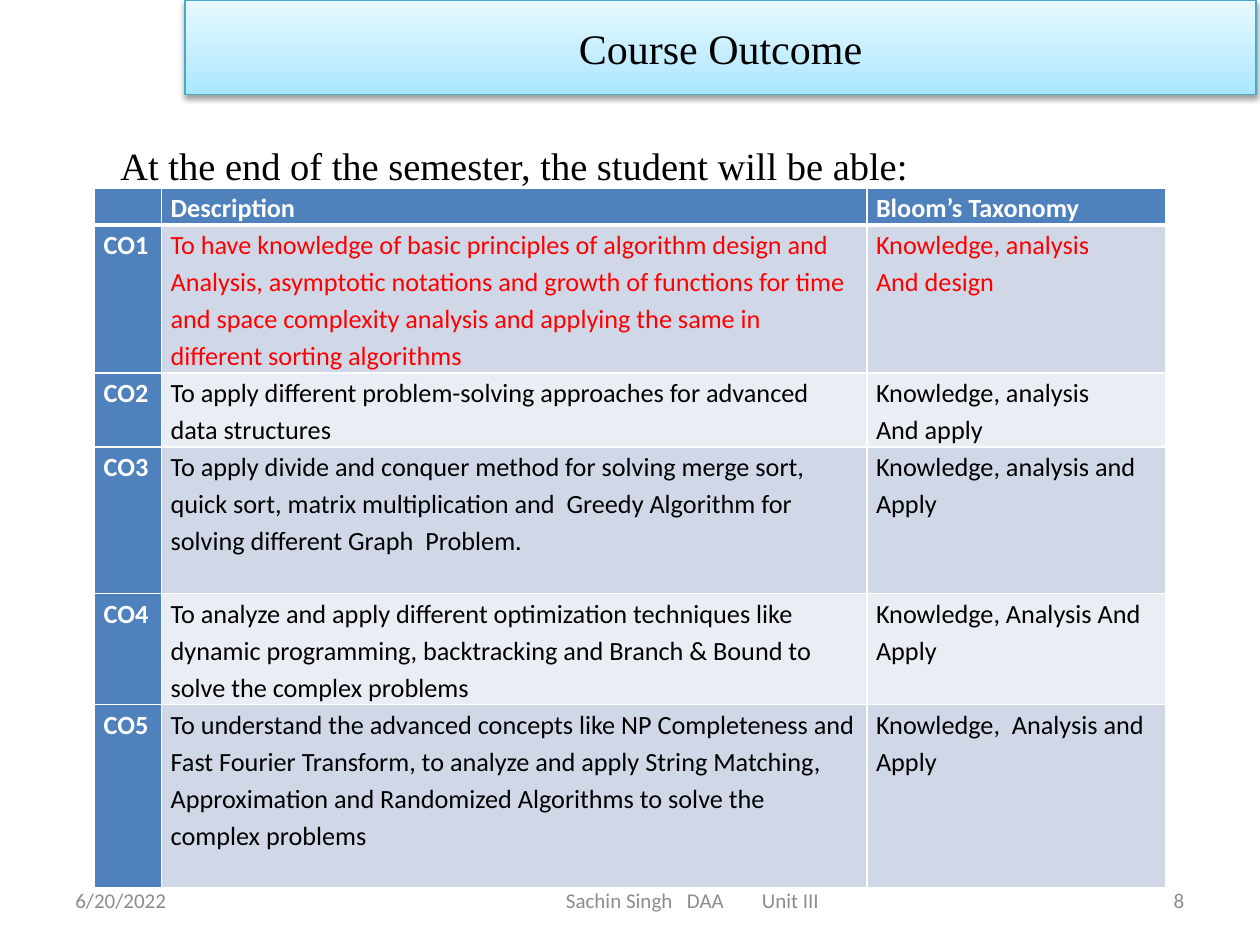
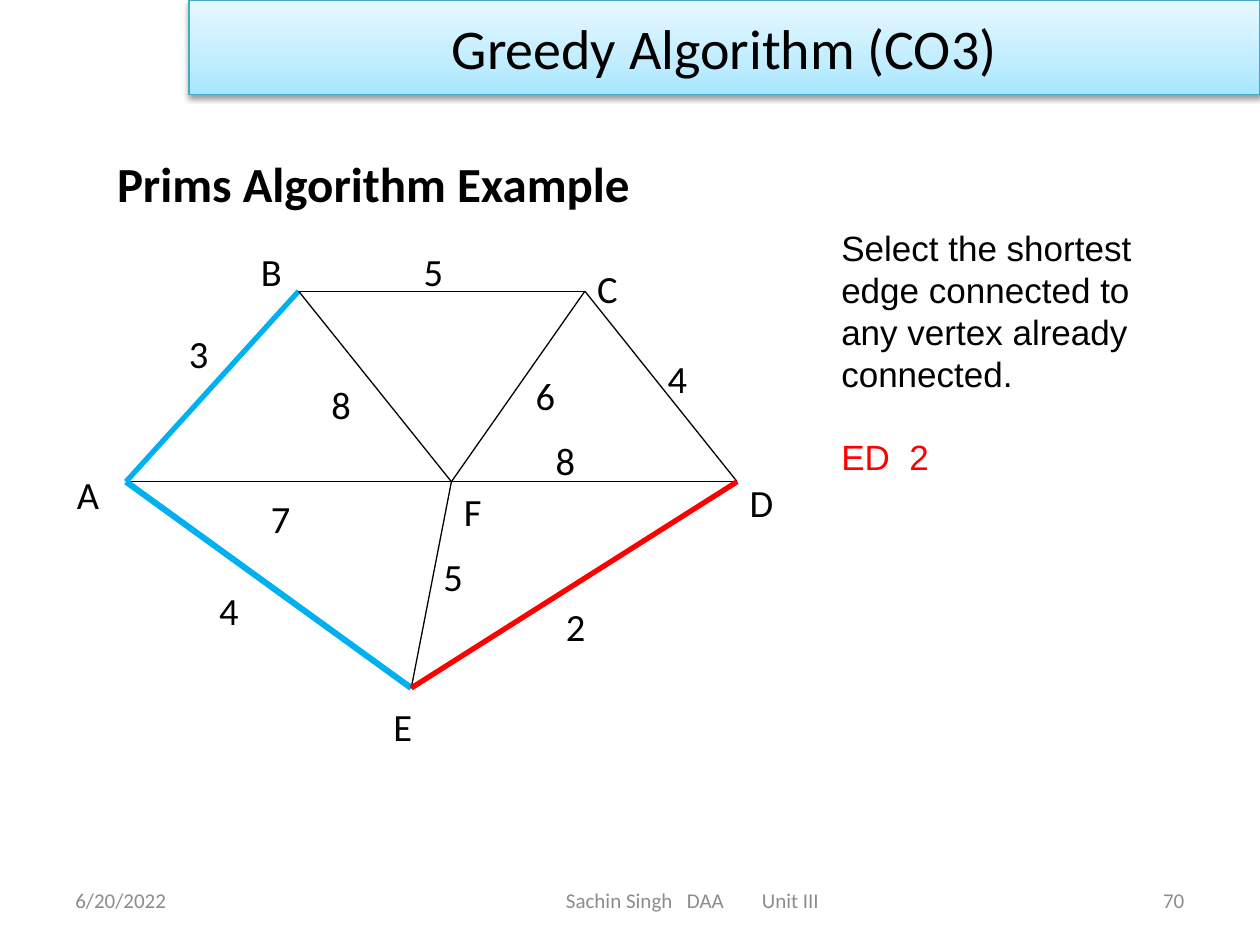
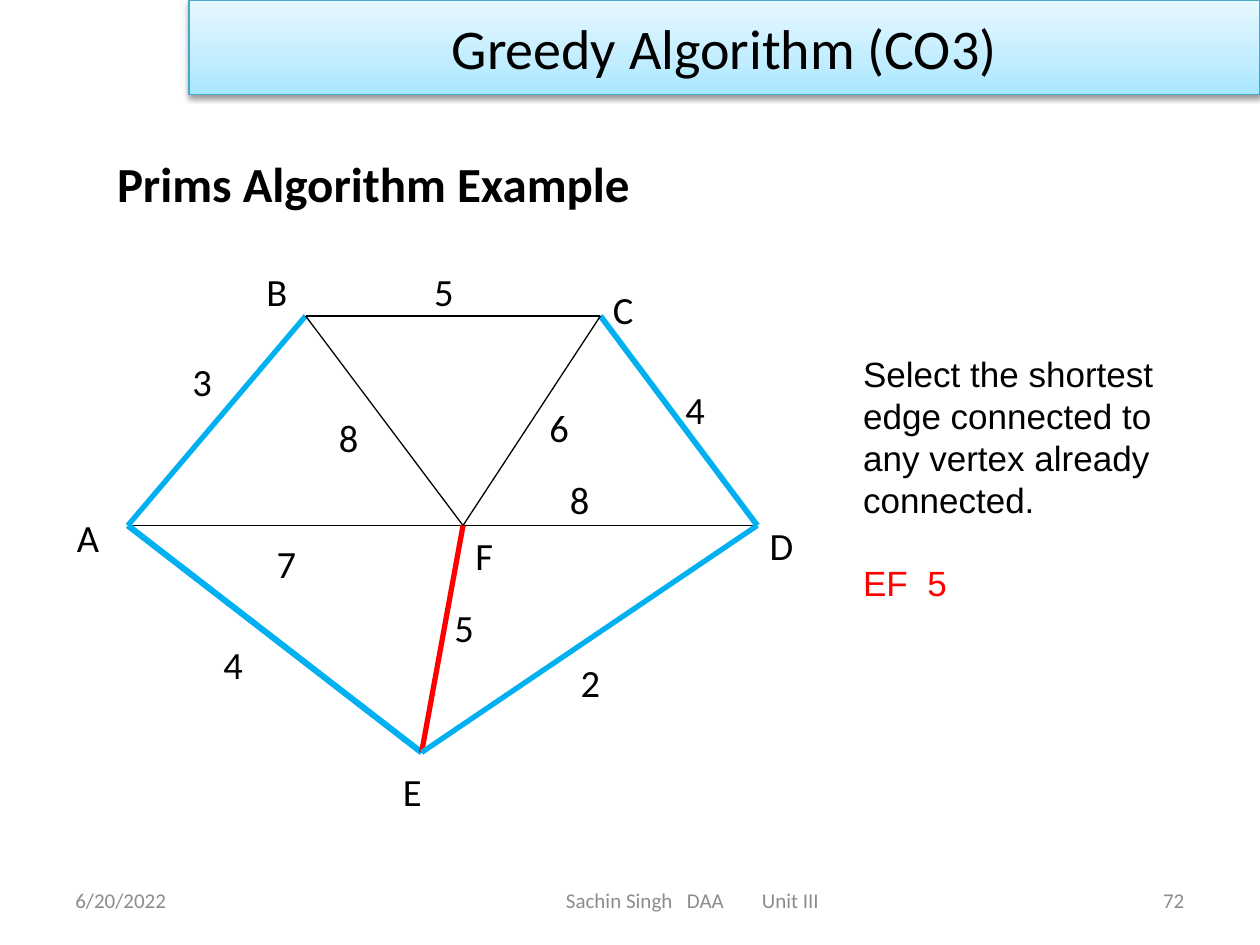
from copy import deepcopy

from lxml import etree
from pptx import Presentation
from pptx.dml.color import RGBColor
from pptx.enum.shapes import MSO_CONNECTOR
from pptx.enum.text import MSO_ANCHOR, MSO_AUTO_SIZE, PP_ALIGN
from pptx.oxml.ns import qn
from pptx.util import Cm, Pt

STRAIGHT = MSO_CONNECTOR.STRAIGHT
MIDDLE = MSO_ANCHOR.MIDDLE
NO_AUTOFIT = MSO_AUTO_SIZE.NONE
LEFT, CENTER, RIGHT = PP_ALIGN.LEFT, PP_ALIGN.CENTER, PP_ALIGN.RIGHT

BLACK = RGBColor(0x00, 0x00, 0x00)
WHITE = RGBColor(0xFF, 0xFF, 0xFF)
RED = RGBColor(0xFF, 0x00, 0x00)
TREE_BLUE = RGBColor(0x00, 0xB0, 0xF0)
FOOTER_GREY = RGBColor(0x8C, 0x8C, 0x8C)
HEADER_BLUE = RGBColor(0x4F, 0x81, 0xBD)
ROW_TINTS = (RGBColor(0xD0, 0xD8, 0xE8), RGBColor(0xE9, 0xED, 0xF4))
BAND_LINE = RGBColor(0x46, 0xAA, 0xC5)
BAND_STOPS = (
    (0, RGBColor(0xA7, 0xE6, 0xFF)),
    (0.35, RGBColor(0xC1, 0xED, 0xFF)),
    (1, RGBColor(0xE7, 0xF8, 0xFF)),
)

SERIF = "Times New Roman"
OUTCOME_TITLE = {"name": SERIF, "size": Pt(24)}
GREEDY_TITLE = {"name": "Calibri", "size": Pt(32)}
INTRO = {"name": SERIF, "size": Pt(22)}
HEADING = {"name": "Calibri", "size": Pt(28), "bold": True}
GRAPH_LABEL = {"name": "Calibri", "size": Pt(22)}
NOTE = {"name": "Arial", "size": Pt(20)}
FOOTER = {"name": "Calibri", "size": Pt(12)}
CELL = {"name": "Calibri", "size": Pt(15), "bold": False}
CELL_BOLD = {**CELL, "bold": True}

DATE = "6/20/2022"
FOOTER_TEXT = "Sachin Singh\tDAA\tUnit III"
FOOTER_TABS = (2.44, 3.95)
# placeholder index: left, width, left margin, alignment
FOOTER_PARTS = {
    10: (1.27, 5.93, 0.25, LEFT),
    11: (6.99, 13.97, 4.42, LEFT),
    12: (18.2, 5.93, 0.25, RIGHT),
}

TABLE_LINE = 0.74
COLUMN_WIDTHS = (1.35, 14.22, 6.02)
OUTCOME_HEADER = ("", "Description", "Bloom’s Taxonomy")
# description, taxonomy, height in text lines
OUTCOMES = (
    ("To have knowledge of basic principles of algorithm design and Analysis, "
     "asymptotic notations and growth of functions for time and space complexity "
     "analysis and applying the same in different sorting algorithms",
     "Knowledge, analysis\nAnd design", 4),
    ("To apply different problem-solving approaches for advanced data structures",
     "Knowledge, analysis\nAnd apply", 2),
    ("To apply divide and conquer method for solving merge sort, quick sort, "
     "matrix multiplication and  Greedy Algorithm for solving different "
     "Graph  Problem.",
     "Knowledge, analysis and Apply", 4),
    ("To analyze and apply different optimization techniques like dynamic "
     "programming, backtracking and Branch & Bound to solve the complex problems",
     "Knowledge, Analysis And Apply", 3),
    ("To understand the advanced concepts like NP Completeness and Fast Fourier "
     "Transform, to analyze and apply String Matching, Approximation and "
     "Randomized Algorithms to solve the complex problems",
     "Knowledge,  Analysis and Apply", 5),
)

# vertex: its point, then the corner of its label
VERTICES = {
    "A": ((1.24, 4.83), (0, 4.5)),
    "B": ((4.72, 0.99), (3.71, 0)),
    "C": ((10.49, 0.99), (10.49, 0.33)),
    "D": ((13.56, 4.83), (13.56, 4.65)),
    "E": ((6.99, 8.99), (6.38, 9.16)),
    "F": ((7.8, 4.83), (7.8, 4.83)),
}
# edge: its weight, then the corner of its label
EDGES = {
    "AB": ("3", (2.26, 1.65)),
    "BC": ("5", (6.99, 0)),
    "CD": ("4", (11.91, 2.16)),
    "AF": ("7", (3.91, 4.98)),
    "FD": ("8", (9.65, 3.81)),
    "BF": ("8", (5.13, 2.67)),
    "FC": ("6", (9.25, 2.49)),
    "AE": ("4", (2.87, 6.83)),
    "EF": ("5", (7.39, 6.15)),
    "ED": ("2", (9.86, 7.16)),
}
PLAIN_EDGE = (BLACK, 0.75)
ADVICE = ("Select the shortest", "edge connected to", "any vertex already", "connected.")


def add_run(paragraph, text, font_format, color=BLACK):
    run = paragraph.add_run()
    run.text = text
    for attribute, value in font_format.items():
        setattr(run.font, attribute, value)
    run.font.color.rgb = color


def write_lines(frame, lines, font_format, color=BLACK, **paragraph_format):
    """Replace the text of a frame with one paragraph per line."""
    frame.clear()
    for number, line in enumerate(lines):
        paragraph = frame.add_paragraph() if number else frame.paragraphs[0]
        for attribute, value in paragraph_format.items():
            setattr(paragraph, attribute, value)
        add_run(paragraph, line, font_format, color)


def place(shape, left, top, width, height):
    shape.left, shape.top = Cm(left), Cm(top)
    shape.width, shape.height = Cm(width), Cm(height)


def add_text(shapes, box, lines, font_format, **paragraph_format):
    frame = shapes.add_textbox(*map(Cm, box)).text_frame
    frame.word_wrap = True
    write_lines(frame, lines, font_format, **paragraph_format)
    return frame


def fill_band(shape):
    """Give the title band its gradient, outline and shadow."""
    properties = shape.element.spPr
    shape.fill.gradient()
    shape.fill.gradient_angle = 90
    stop_list = properties.find(".//" + qn("a:gsLst"))
    stop_list.append(deepcopy(stop_list[0]))
    for stop, (position, color) in zip(shape.fill.gradient_stops, BAND_STOPS):
        stop.position = position
        stop.color.rgb = color
    shape.line.color.rgb = BAND_LINE
    shape.line.width = Pt(0.75)
    effects = etree.SubElement(properties, qn("a:effectLst"))
    shadow = etree.SubElement(effects, qn("a:outerShdw"), blurRad="40000",
                              dist="20000", dir="5400000", rotWithShape="0")
    shade = etree.SubElement(shadow, qn("a:srgbClr"), val=str(BLACK))
    etree.SubElement(shade, qn("a:alpha"), val="38000")


def add_footers(slide, page):
    texts = {10: DATE, 11: FOOTER_TEXT, 12: page}
    for source in slide.slide_layout.placeholders:
        if source.placeholder_format.idx in texts:
            slide.shapes.element.append(deepcopy(source.element))
    for part in slide.placeholders:
        index = part.placeholder_format.idx
        if index not in texts:
            continue
        left, width, margin, alignment = FOOTER_PARTS[index]
        place(part, left, 17.65, width, 1.01)
        frame = part.text_frame
        frame.vertical_anchor = MIDDLE
        frame.margin_left = Cm(margin)
        write_lines(frame, [texts[index]], FOOTER, FOOTER_GREY, alignment=alignment)
        if index == 11:
            add_tabs(frame.paragraphs[0], FOOTER_TABS)


def add_tabs(paragraph, positions):
    tabs = etree.SubElement(paragraph._p.get_or_add_pPr(), qn("a:tabLst"))
    for position in positions:
        etree.SubElement(tabs, qn("a:tab"), pos=str(Cm(position)), algn="l")


def add_slide(presentation, title, title_format, band_left, page):
    slide = presentation.slides.add_slide(presentation.slide_layouts[5])
    band = slide.shapes.title
    place(band, band_left, 0, 21.59, 1.91)
    fill_band(band)
    frame = band.text_frame
    frame.word_wrap = True
    frame.auto_size = NO_AUTOFIT
    frame.vertical_anchor = MIDDLE
    write_lines(frame, [title], title_format, alignment=CENTER)
    add_footers(slide, page)
    return slide


def set_borders(cell, widths):
    """Draw white cell borders; widths maps L, R, T and B to points."""
    properties = cell._tc.get_or_add_tcPr()
    for side, width in widths.items():
        border = etree.SubElement(properties, qn("a:ln" + side), w=str(Pt(width)))
        paint = etree.SubElement(border, qn("a:solidFill"))
        etree.SubElement(paint, qn("a:srgbClr"), val=str(WHITE))


def format_cell(cell, text, row, column):
    cell.margin_left = cell.margin_right = Cm(0.18)
    cell.margin_top = cell.margin_bottom = 0
    set_borders(cell, {"L": 1, "R": 1, "T": 3 if row == 1 else 1,
                       "B": 3 if row == 0 else 1})
    is_header = row == 0 or column == 0
    cell.fill.solid()
    cell.fill.fore_color.rgb = HEADER_BLUE if is_header else ROW_TINTS[(row - 1) % 2]
    if is_header:
        color = WHITE
    else:
        color = RED if row == 1 else BLACK
    write_lines(cell.text_frame, text.split("\n"), CELL_BOLD if is_header else CELL,
                color, line_spacing=1.15)


def add_outcome_table(slide):
    rows = [(*OUTCOME_HEADER, 1)]
    rows += [(f"CO{number}", *outcome) for number, outcome in enumerate(OUTCOMES, 1)]
    height = TABLE_LINE * sum(row[-1] for row in rows)
    table = slide.shapes.add_table(len(rows), len(COLUMN_WIDTHS), Cm(1.91), Cm(3.79),
                                   Cm(sum(COLUMN_WIDTHS)), Cm(height)).table
    for column, width in zip(table.columns, COLUMN_WIDTHS):
        column.width = Cm(width)
    for row, (*texts, line_count) in enumerate(rows):
        table.rows[row].height = Cm(TABLE_LINE * line_count)
        for column, text in enumerate(texts):
            format_cell(table.cell(row, column), text, row, column)


def add_edge(shapes, start, end, color, width):
    edge = shapes.add_connector(STRAIGHT, *map(Cm, (*start, *end)))
    edge.line.color.rgb = color
    edge.line.width = Pt(width)
    etree.SubElement(edge.element.spPr, qn("a:effectLst"))


def add_graph(slide, top, scale, marked_edges):
    """Draw the weighted graph, stretched by scale = (across, down)."""
    def locate(point):
        return 1.3 + point[0] * scale[0], top + point[1] * scale[1]

    shapes = slide.shapes.add_group_shape().shapes
    for edge in EDGES:
        start, end = (locate(VERTICES[vertex][0]) for vertex in edge)
        add_edge(shapes, start, end, *marked_edges.get(edge, PLAIN_EDGE))
    labels = [(name, corner) for name, (_, corner) in VERTICES.items()]
    for text, corner in labels + list(EDGES.values()):
        add_text(shapes, (*locate(corner), 1.25, 1.19), [text], GRAPH_LABEL)


def add_prim_slide(presentation, page, graph, note_corner, choice):
    slide = add_slide(presentation, "Greedy Algorithm (CO3)", GREEDY_TITLE, 3.81, page)
    add_text(slide.shapes, (2.11, 2.97, 14.38, 1.45), ["Prims Algorithm Example"], HEADING)
    add_graph(slide, *graph)
    note = add_text(slide.shapes, (*note_corner, 7.7, 7.95), ADVICE, NOTE)
    chosen_edge = note.add_paragraph()
    chosen_edge.space_before = Pt(23)
    add_run(chosen_edge, choice, NOTE, RED)


def main():
    presentation = Presentation()
    presentation.slide_width, presentation.slide_height = Cm(25.4), Cm(19.05)

    outcome = add_slide(presentation, "Course Outcome", OUTCOME_TITLE, 3.73, "8")
    add_outcome_table(outcome)
    add_text(outcome.shapes, (2.18, 2.59, 21.59, 1.27),
             ["At the end of the semester, the student will be able:"], INTRO,
             line_spacing=1.15, space_after=Pt(10))

    tree = {"AB": (TREE_BLUE, 3), "AE": (TREE_BLUE, 3.5)}
    add_prim_slide(presentation, "70", (4.88, (1, 1), {**tree, "ED": (RED, 3)}),
                   (16.71, 4.45), "ED  2")
    tree.update({"ED": (TREE_BLUE, 3), "CD": (TREE_BLUE, 3.25)})
    add_prim_slide(presentation, "72", (5.28, (1.03, 1.1), {**tree, "EF": (RED, 3)}),
                   (17.15, 6.99), "EF  5")

    presentation.save("out.pptx")


if __name__ == "__main__":
    main()
